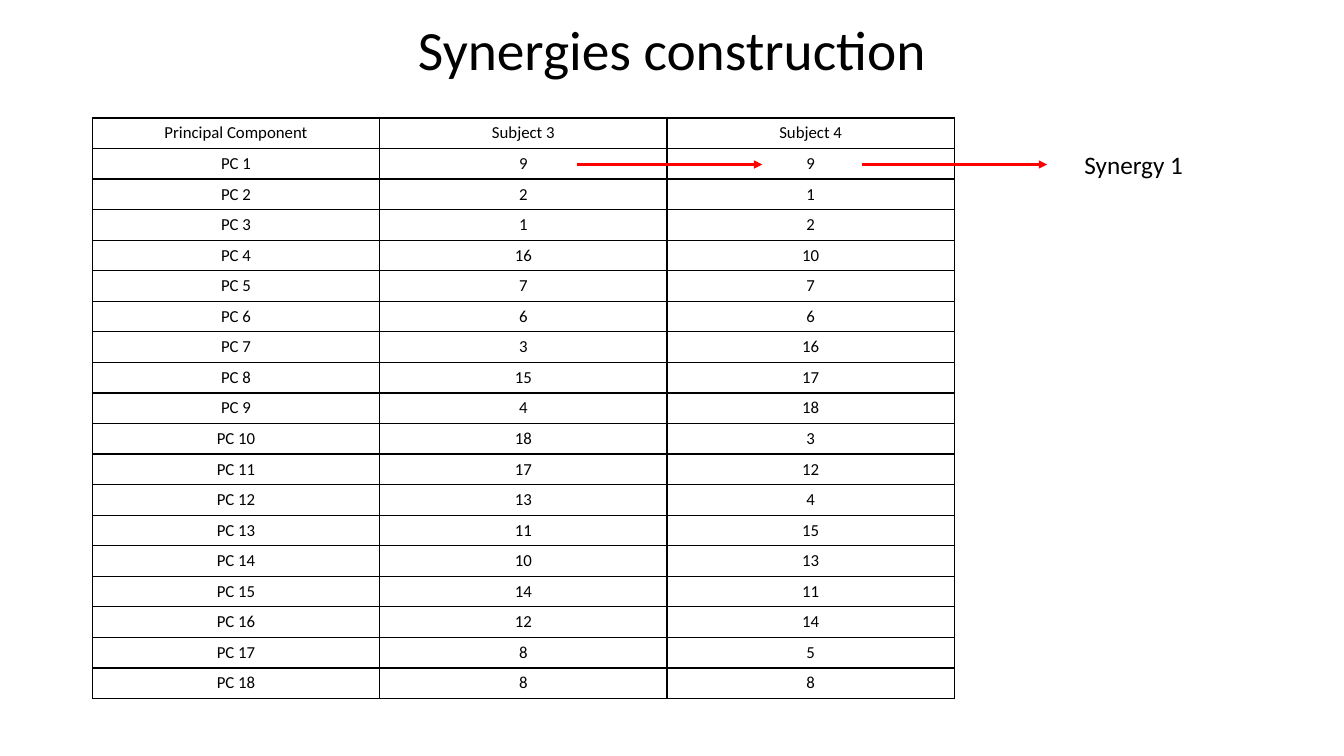
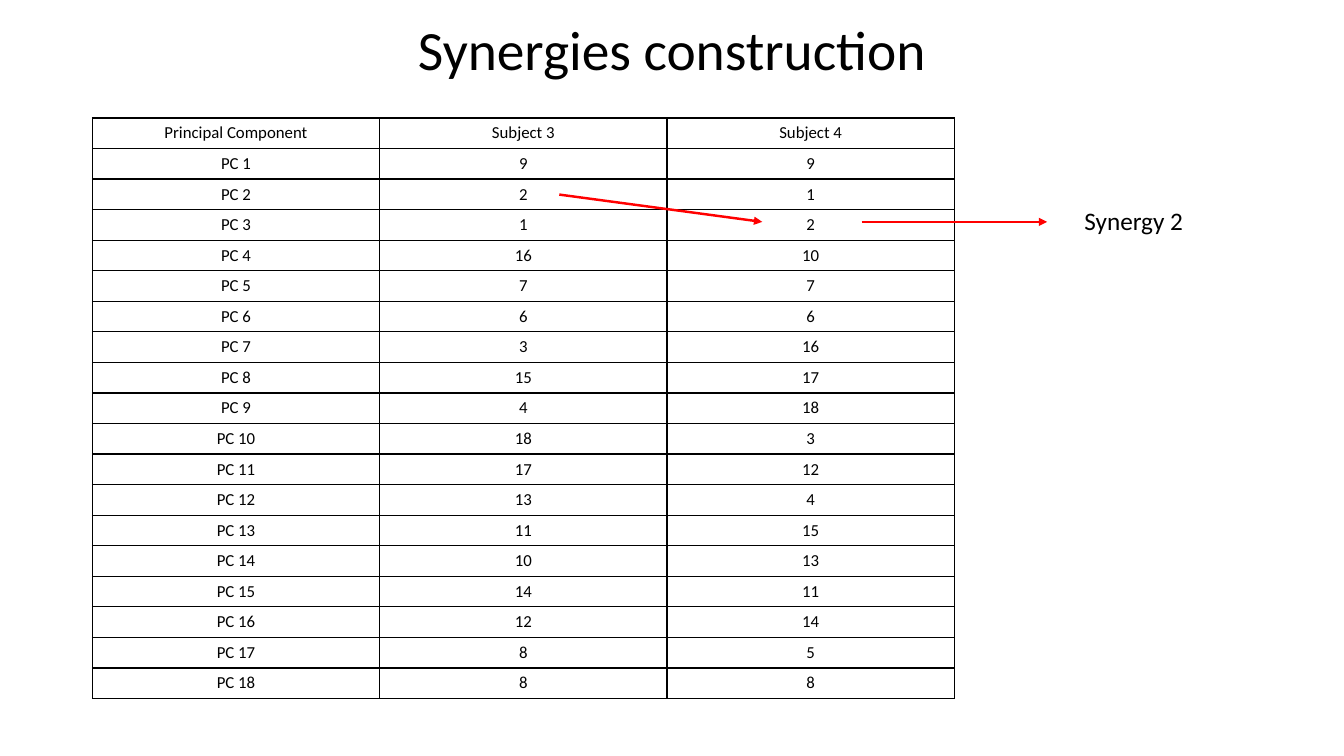
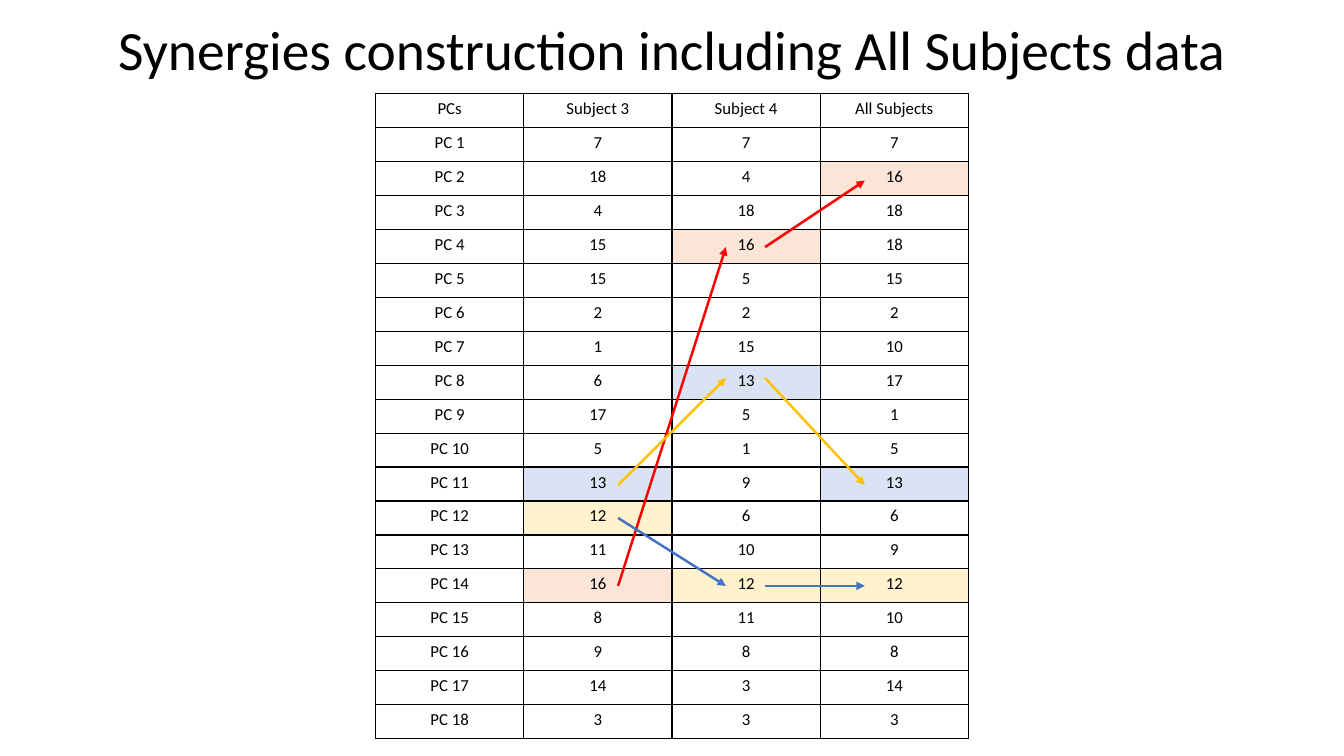
from pptx import Presentation
from pptx.dml.color import RGBColor
from pptx.enum.shapes import MSO_CONNECTOR
from pptx.enum.text import MSO_ANCHOR, PP_ALIGN
from pptx.oxml.ns import qn
from pptx.util import Pt
from lxml import etree

STRAIGHT = MSO_CONNECTOR.STRAIGHT
CENTER = PP_ALIGN.CENTER
LEFT = PP_ALIGN.LEFT
TOP = MSO_ANCHOR.TOP
MIDDLE = MSO_ANCHOR.MIDDLE

FONT = "Calibri"
BLACK = "000000"
RED = "FF0000"
BLUE = "4472C4"
GOLD = "FFC000"
PALE_RED = "FBE5D6"
PALE_BLUE = "DAE3F3"
PALE_GOLD = "FFF2CC"

TITLE = "Synergies construction"

TWO_SUBJECTS = {
    "Subject 3": [9, 2, 1, 16, 7, 6, 3, 15, 4, 18, 17, 13, 11, 10, 14, 12, 8, 8],
    "Subject 4": [9, 1, 2, 10, 7, 6, 16, 17, 18, 3, 12, 4, 15, 13, 11, 14, 5, 8],
}
ALL_SUBJECTS = {
    "Subject 3": [7, 18, 4, 15, 15, 2, 1, 6, 17, 5, 13, 12, 11, 16, 8, 9, 14, 3],
    "Subject 4": [7, 4, 18, 16, 5, 2, 15, 13, 5, 1, 9, 6, 10, 12, 11, 8, 3, 3],
    "All Subjects": [7, 16, 18, 18, 15, 2, 10, 17, 1, 5, 13, 6, 9, 12, 10, 8, 14, 3],
}

PAIRINGS = [
    ("Synergy 1", (412, 117.5), 117.5, 103),
    ("Synergy 2", (399.5, 139), 158.5, 143.25),
]
CHAINS = [
    (RED, PALE_RED, (14, 4, 2), (418.5, 176.5, 129)),
    (BLUE, PALE_GOLD, (12, 14, 14), (370, 418.5, 418.5)),
    (GOLD, PALE_BLUE, (11, 8, 11), (346.5, 270, 346.5)),
]
CHAIN_SPANS = [(441.5, 518.5), (546.5, 617.75)]


def color(value):
    return RGBColor.from_string(value)


def add_run(paragraph, text, size):
    run = paragraph.add_run()
    run.text = text
    run.font.name = FONT
    run.font.size = Pt(size)
    run.font.color.rgb = color(BLACK)


def add_text(slide, text, left, top, width, height, size, align=LEFT, anchor=TOP):
    shape = slide.shapes.add_textbox(Pt(left), Pt(top), Pt(width), Pt(height))
    frame = shape.text_frame
    frame.word_wrap = True
    frame.vertical_anchor = anchor
    paragraph = frame.paragraphs[0]
    paragraph.alignment = align
    add_run(paragraph, text, size)
    return paragraph


def add_titled_slide(presentation, title):
    slide = presentation.slides.add_slide(presentation.slide_layouts[6])
    paragraph = add_text(slide, title, 66, 18.5, 828, 38, 39.6, CENTER, MIDDLE)
    paragraph.line_spacing = 0.9
    return slide


def add_borders(cell):
    properties = cell._tc.get_or_add_tcPr()
    for side in ("lnL", "lnR", "lnT", "lnB"):
        line = etree.SubElement(properties, qn(f"a:{side}"), w=str(Pt(1)))
        fill = etree.SubElement(line, qn("a:solidFill"))
        etree.SubElement(fill, qn("a:srgbClr"), val=BLACK)


def add_component_table(slide, heading, subjects, left, top, column_width, row_height, fills):
    components = [f"PC {number}" for number in range(1, 19)]
    columns = [[heading, *components]]
    columns += [[name, *values] for name, values in subjects.items()]
    rows = list(zip(*columns))
    table = slide.shapes.add_table(
        len(rows), len(columns), Pt(left), Pt(top),
        Pt(column_width * len(columns)), Pt(row_height * len(rows))).table
    table.first_row = False
    table.horz_banding = False
    for column in table.columns:
        column.width = Pt(column_width)
    for row_index, values in enumerate(rows):
        table.rows[row_index].height = Pt(row_height)
        for column_index, value in enumerate(values):
            cell = table.cell(row_index, column_index)
            add_borders(cell)
            fill = fills.get((row_index, column_index))
            if fill:
                cell.fill.solid()
                cell.fill.fore_color.rgb = color(fill)
            else:
                cell.fill.background()
            paragraph = cell.text_frame.paragraphs[0]
            paragraph.alignment = CENTER
            add_run(paragraph, str(value), 12)


def add_arrow(slide, start_x, start_y, end_x, end_y, line_color):
    arrow = slide.shapes.add_connector(
        STRAIGHT, Pt(start_x), Pt(start_y), Pt(end_x), Pt(end_y))
    arrow.line.color.rgb = color(line_color)
    arrow.line.width = Pt(1.75)
    etree.SubElement(arrow.line._get_or_add_ln(), qn("a:tailEnd"), type="triangle")
    etree.SubElement(arrow._element.spPr, qn("a:effectLst"))


def add_pairing_slide(presentation, label, start, arrow_y, label_top):
    slide = add_titled_slide(presentation, TITLE)
    add_component_table(
        slide, "Principal Component", TWO_SUBJECTS, 66, 84.25, 205.25, 21.84, {})
    add_arrow(slide, *start, 544.5, arrow_y, RED)
    add_arrow(slide, 615.5, arrow_y, 748, arrow_y, RED)
    add_text(slide, label, 767.5, label_top, 158.5, 29, 18)


def add_all_subjects_slide(presentation):
    slide = add_titled_slide(presentation, f"{TITLE} including All Subjects data")
    fills = {
        (row, column): fill
        for _, fill, rows, _ in CHAINS
        for column, row in enumerate(rows, start=1)
    }
    add_component_table(slide, "PCs", ALL_SUBJECTS, 268.25, 67, 105.9, 24.25, fills)
    for line_color, _, _, heights in CHAINS:
        for (start_x, end_x), start_y, end_y in zip(CHAIN_SPANS, heights, heights[1:]):
            add_arrow(slide, start_x, start_y, end_x, end_y, line_color)


def main():
    presentation = Presentation()
    presentation.slide_width = Pt(960)
    presentation.slide_height = Pt(540)
    for pairing in PAIRINGS:
        add_pairing_slide(presentation, *pairing)
    add_all_subjects_slide(presentation)
    presentation.save("out.pptx")


if __name__ == "__main__":
    main()
